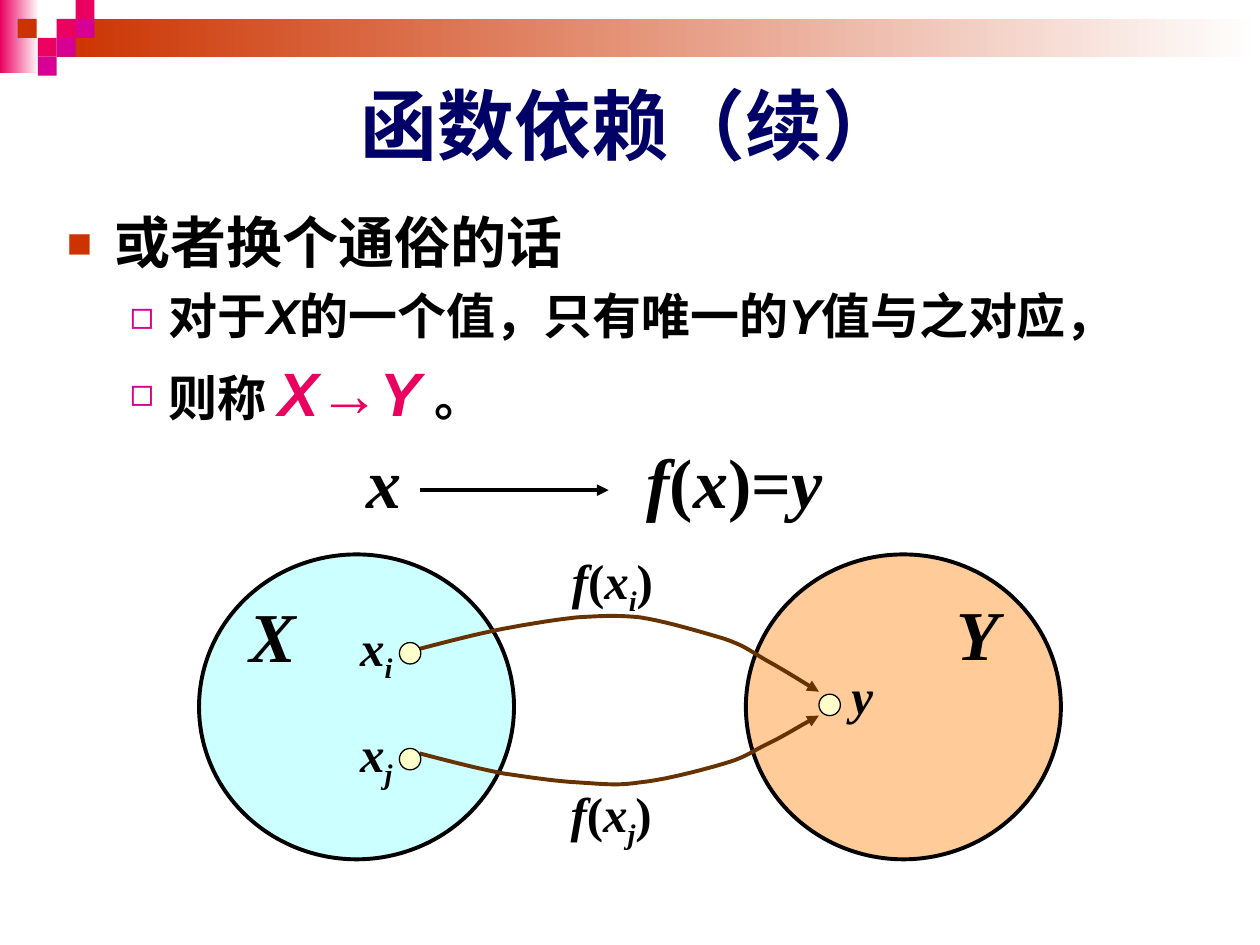
from lxml import etree
from pptx import Presentation
from pptx.dml.color import RGBColor
from pptx.enum.shapes import MSO_CONNECTOR, MSO_SHAPE
from pptx.enum.text import MSO_ANCHOR, MSO_AUTO_SIZE, PP_ALIGN
from pptx.oxml.ns import qn
from pptx.util import Inches, Pt

RECT, OVAL = MSO_SHAPE.RECTANGLE, MSO_SHAPE.OVAL
STRAIGHT = MSO_CONNECTOR.STRAIGHT
TOP, MIDDLE = MSO_ANCHOR.TOP, MSO_ANCHOR.MIDDLE
NO_FIT, GROW = MSO_AUTO_SIZE.NONE, MSO_AUTO_SIZE.SHAPE_TO_FIT_TEXT
LEFT, CENTER, JUSTIFY = PP_ALIGN.LEFT, PP_ALIGN.CENTER, PP_ALIGN.JUSTIFY

BLACK = RGBColor(0x00, 0x00, 0x00)
WHITE = RGBColor(0xFF, 0xFF, 0xFF)
NAVY = RGBColor(0x00, 0x00, 0x66)
RED = RGBColor(0xCC, 0x33, 0x00)
PINK = RGBColor(0xEA, 0x00, 0x5F)
MAGENTA = RGBColor(0xD6, 0x00, 0x93)
BROWN = RGBColor(0x66, 0x33, 0x00)
ORANGE = RGBColor(0xFF, 0xCC, 0x99)
CYAN = RGBColor(0xCC, 0xFF, 0xFF)
CREAM = RGBColor(0xFF, 0xFF, 0xCC)

prs = Presentation()
prs.slide_width, prs.slide_height = Inches(10), Inches(7.5)
s = prs.slides.add_slide(prs.slide_layouts[1])


def add_shape(kind, x, y, w, h, fill, line_width=0):
    sp = s.shapes.add_shape(kind, Inches(x), Inches(y), Inches(w), Inches(h))
    sp.shadow.inherit = False
    sp.fill.solid()
    sp.fill.fore_color.rgb = fill
    if line_width:
        sp.line.color.rgb = BLACK
        sp.line.width = Pt(line_width)
    else:
        sp.line.fill.background()
    return sp


def style_arrow(sp, color):
    sp.line.color.rgb = color
    sp.line.width = Pt(2.25)
    ln = sp.line._get_or_add_ln()
    etree.SubElement(ln, qn("a:tailEnd"), type="triangle")
    etree.SubElement(sp._element.spPr, qn("a:effectLst"))


# Header: two fading bars, then the small squares
for x, y, w, h, color in [(0, 0, 0.31, 0.58, PINK), (0.45, 0.15, 9.55, 0.3, RED)]:
    sp = add_shape(RECT, x, y, w, h, color)
    sp.fill.gradient()
    sp.fill.gradient_angle = 0
    for stop, pos, stop_color in zip(sp.fill.gradient_stops, (0, 1), (color, WHITE)):
        stop.position = pos
        stop.color.rgb = stop_color

for x, y, color in [(0.45, 0.15, PINK), (0.6, 0, PINK), (0.6, 0.15, MAGENTA),
                    (0.3, 0.3, PINK), (0.14, 0.15, RED), (0.45, 0.3, MAGENTA),
                    (0.3, 0.45, MAGENTA)]:
    add_shape(RECT, x, y, 0.15, 0.15, color)

# Title
title, body = s.placeholders
for sp, x, y, w, h, anchor in [(title, 0.5, 0.5, 9, 0.97, MIDDLE),
                               (body, 0.43, 1.62, 9.33, 1.97, TOP)]:
    sp.left, sp.top, sp.width, sp.height = map(Inches, (x, y, w, h))
    sp.text_frame.auto_size = NO_FIT
    sp.text_frame.vertical_anchor = anchor
p = title.text_frame.paragraphs[0]
p.alignment = CENTER
r = p.add_run()
r.text = "函数依赖（续）"
r.font.color.rgb = NAVY
for name, value in dict(size=Pt(44), name="Noto Sans CJK SC", bold=True).items():
    setattr(r.font, name, value)

# Bulleted list: level, then runs of text, size, colour, italic
items = [
    (0, [("或者换个通俗的话", 32, BLACK, False)]),
    (1, [("对于", 28, BLACK, False), ("X", 28, BLACK, True),
         ("的一个值，只有唯一的", 28, BLACK, False), ("Y", 28, BLACK, True),
         ("值与之对应，", 28, BLACK, False)]),
    (1, [("则称 ", 28, BLACK, False), ("X", 35, PINK, True), ("→", 35, PINK, False),
         ("Y", 35, PINK, True), (" ", 28, BLACK, True), ("。", 28, BLACK, False)]),
]
# Per level: bullet, colour, size in percent, text margin, hanging indent, space before
levels = [("■", RED, 75, 0.38, 0.38, 8), ("◻", MAGENTA, 80, 0.81, 0.31, 7)]
tf = body.text_frame
for i, (level, runs) in enumerate(items):
    bullet, color, percent, margin, hang, before = levels[level]
    p = tf.paragraphs[0] if i == 0 else tf.add_paragraph()
    for name, value in dict(level=level, alignment=JUSTIFY, line_spacing=0.98,
                            space_before=Pt(before)).items():
        setattr(p, name, value)
    pPr = p._p.get_or_add_pPr()
    pPr.set("marL", str(Inches(margin)))
    pPr.set("indent", str(-Inches(hang)))
    clr = etree.SubElement(pPr, qn("a:buClr"))
    etree.SubElement(clr, qn("a:srgbClr"), val=str(color))
    etree.SubElement(pPr, qn("a:buSzPct"), val=str(percent * 1000))
    etree.SubElement(pPr, qn("a:buChar"), char=bullet)
    for text, size, color, italic in runs:
        r = p.add_run()
        r.text = text
        r.font.color.rgb = color
        for name, value in dict(size=Pt(size), name="Arial", bold=True,
                                italic=italic).items():
            setattr(r.font, name, value)

# Mapping arrow from x to f(x)
arrow = s.shapes.add_connector(STRAIGHT, Inches(3.33), Inches(3.89),
                               Inches(4.83), Inches(3.89))
style_arrow(arrow, BLACK)

# Sets X and Y
for x, color in [(5.92, ORANGE), (1.58, CYAN)]:
    add_shape(OVAL, x, 4.4, 2.5, 2.42, color, 2.25)

# Curved arrows: chains of cubic Bezier segments, each sampled in small steps
STEPS = 10
curve_x = [3.33, 3.56, 3.79, 4, 4.21, 4.4, 4.58, 4.76, 4.89, 5.08,
           5.28, 5.58, 5.75, 5.92, 5.96, 6.08, 6.21, 6.35, 6.5]
upper_y = [5.15, 5.09, 5.03, 4.99, 4.95, 4.92, 4.9, 4.89, 4.88, 4.9,
           4.93, 5.02, 5.07, 5.13, 5.17, 5.24, 5.31, 5.4, 5.49]
lower_y = [5.98, 6.04, 6.1, 6.14, 6.17, 6.2, 6.21, 6.22, 6.24, 6.21,
           6.19, 6.11, 6.06, 6.01, 5.97, 5.91, 5.85, 5.76, 5.68]
for curve_y in (upper_y, lower_y):
    nodes = [(Inches(x), Inches(y)) for x, y in zip(curve_x, curve_y)]
    points = []
    for i in range(0, len(nodes) - 1, 3):
        for step in range(1, STEPS + 1):
            t = step / STEPS
            weights = ((1 - t) ** 3, 3 * t * (1 - t) ** 2, 3 * t * t * (1 - t), t ** 3)
            points.append([sum(k * node[axis] for k, node in zip(weights, nodes[i:i + 4]))
                           for axis in (0, 1)])
    builder = s.shapes.build_freeform(*nodes[0])
    builder.add_line_segments(points, close=False)
    curve = builder.convert_to_shape()
    curve.fill.background()
    style_arrow(curve, BROWN)

# Elements of the sets
for x, y in [(3.17, 5.1), (3.17, 5.94), (6.5, 5.51)]:
    add_shape(OVAL, x, y, 0.17, 0.17, CREAM, 0.75)

# Math labels: "|" parts the runs, "_" marks a subscript, letters are italic
labels = [
    ("x", 2.67, 3.48, 0.75, 0.67, 40, CENTER, MIDDLE, NO_FIT),
    ("f|(|x|)=|y", 4.83, 3.48, 2, 0.67, 40, CENTER, MIDDLE, NO_FIT),
    ("Y", 7.49, 4.64, 0.54, 0.77, 40, LEFT, TOP, GROW),
    ("X", 1.88, 4.65, 0.57, 0.77, 40, LEFT, TOP, GROW),
    ("f|(|x|_i|)", 4.44, 4.32, 0.84, 0.63, 28, LEFT, TOP, GROW),
    ("f|(|x|_j|)", 4.43, 6.17, 0.84, 0.63, 28, LEFT, TOP, GROW),
    ("x|_i", 2.76, 4.85, 0.45, 0.63, 28, LEFT, TOP, GROW),
    ("x|_j", 2.76, 5.69, 0.45, 0.63, 28, LEFT, TOP, GROW),
    ("y", 6.66, 5.23, 0.37, 0.57, 28, LEFT, TOP, GROW),
]
for label, x, y, w, h, size, align, anchor, fit in labels:
    tf = s.shapes.add_textbox(Inches(x), Inches(y), Inches(w), Inches(h)).text_frame
    for name, value in dict(word_wrap=fit == GROW, auto_size=fit,
                            vertical_anchor=anchor).items():
        setattr(tf, name, value)
    if align == LEFT:
        tf.margin_right = 0  # room for the subscript on the same line
    p = tf.paragraphs[0]
    p.alignment = align
    for part in label.split("|"):
        r = p.add_run()
        r.text = part.lstrip("_")
        r.font.color.rgb = BLACK
        for name, value in dict(size=Pt(size), name="Times New Roman", bold=True,
                                italic=r.text.isalpha()).items():
            setattr(r.font, name, value)
        if part.startswith("_"):
            r.font._element.set("baseline", "-25000")

prs.save("out.pptx")
